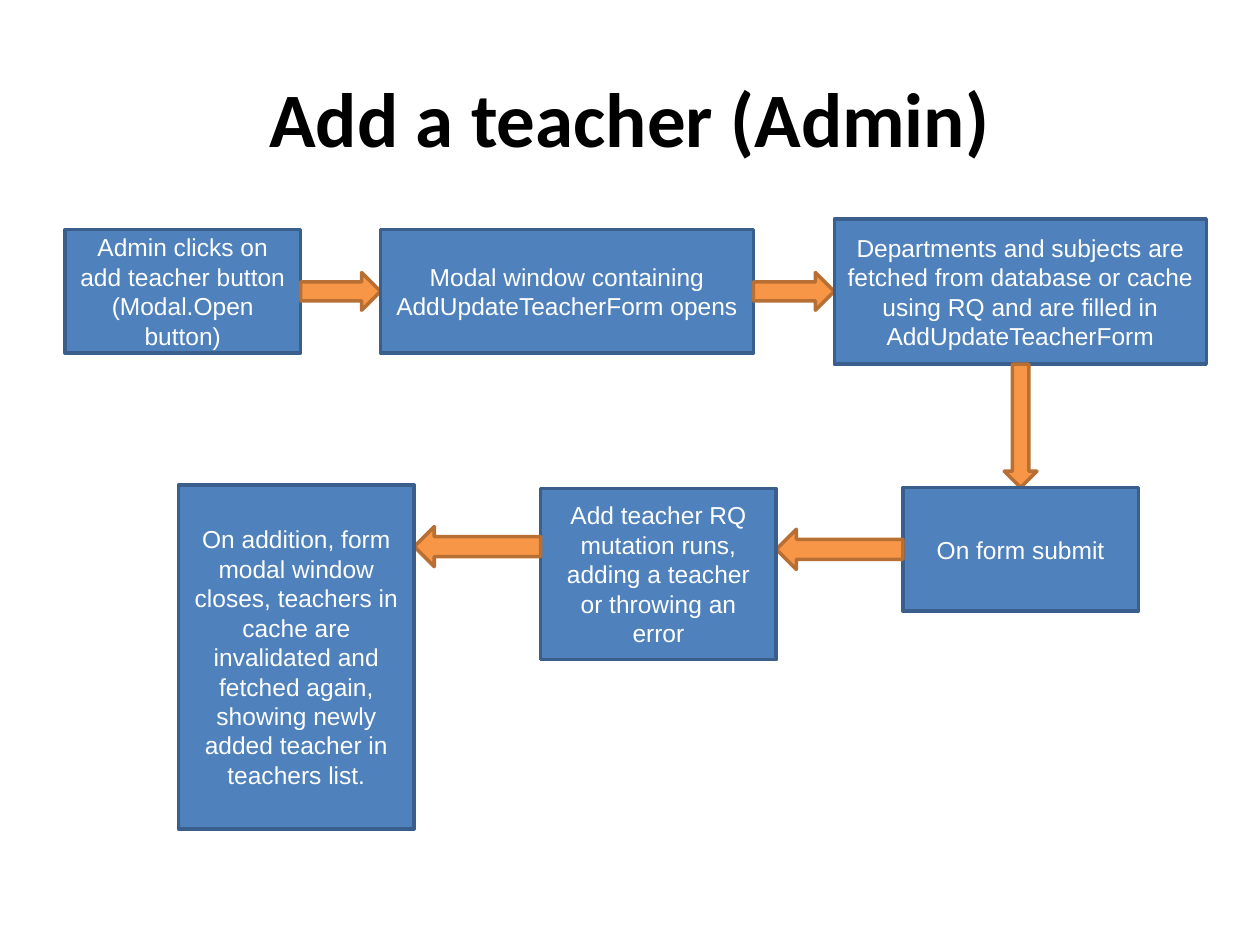
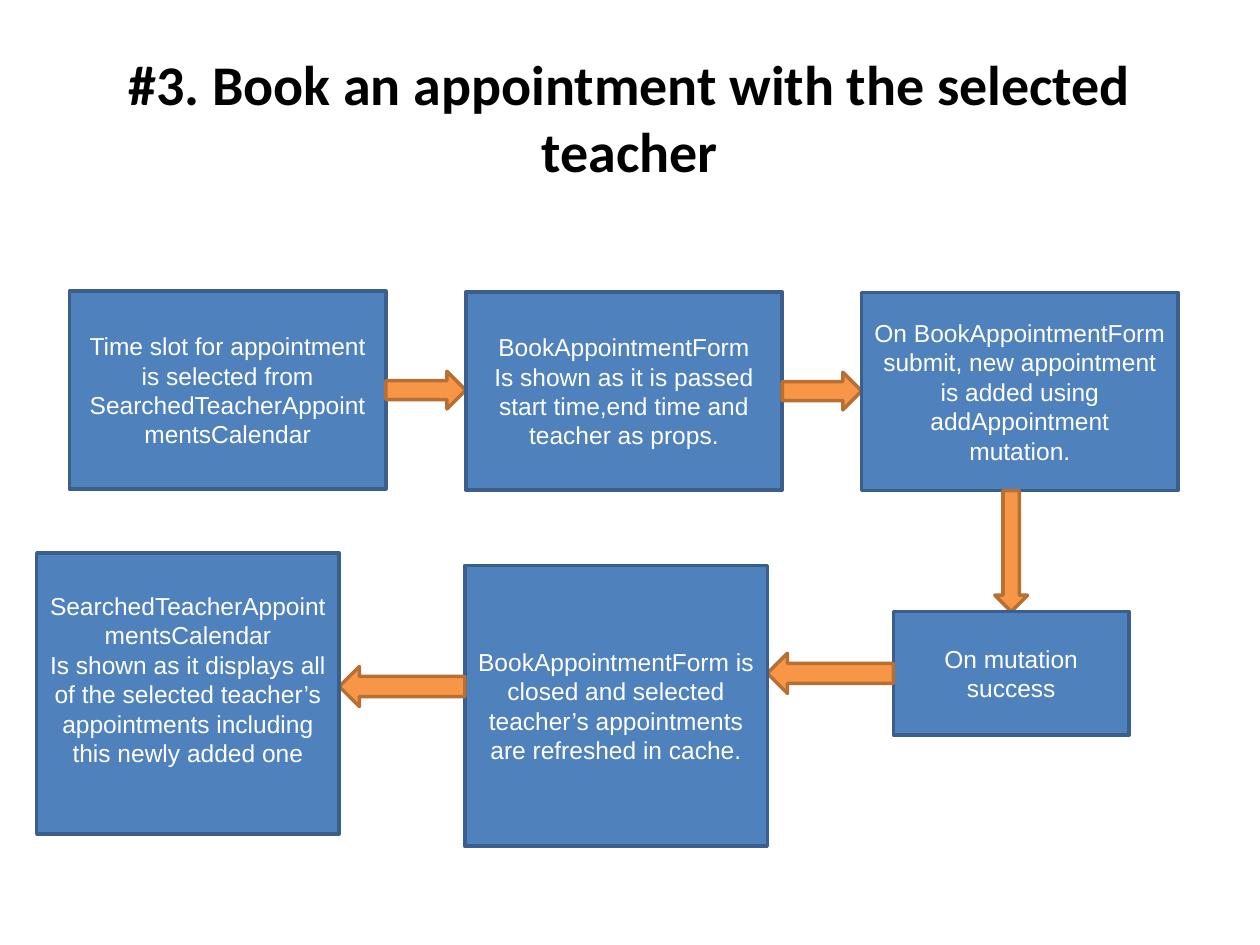
from dataclasses import dataclass
from itertools import zip_longest
from typing import Optional

from pptx import Presentation
from pptx.dml.color import RGBColor
from pptx.enum.shapes import MSO_SHAPE
from pptx.enum.text import MSO_ANCHOR, PP_ALIGN
from pptx.util import Cm, Pt

COLORS = {
    "title": "000000",
    "step_fill": "4F81BD",
    "step_line": "3A5F8C",
    "step_text": "FFFFFF",
    "arrow_fill": "F79646",
    "arrow_line": "B76F34",
}
TITLE_FONT = "Calibri"
STEP_FONT = "Arial"
STEP_SIZE = 14
BOTTOM_INSET = 0.13
RIGHT_ARROW_HEIGHT = 0.76
LEFT_ARROW_HEIGHT = 0.81
DOWN_ARROW_WIDTH = 0.66


@dataclass(frozen=True)
class Step:
    """One box of a flow, in centimetres; arrow_y moves its outgoing arrow."""
    text: str
    left: float
    top: float
    width: float
    height: float
    arrow_y: Optional[float] = None
    bottom_inset: float = BOTTOM_INSET

    @property
    def right(self) -> float:
        return self.left + self.width

    @property
    def bottom(self) -> float:
        return self.top + self.height

    @property
    def center_x(self) -> float:
        return self.left + self.width / 2

    @property
    def center_y(self) -> float:
        return self.top + self.height / 2


@dataclass(frozen=True)
class Flow:
    title: str
    title_size: int
    steps: tuple[Step, ...]


FLOWS = (
    Flow("Add a teacher (Admin)", 44, (
        Step("Admin clicks on add teacher button (Modal.Open button)",
             1.31, 4.63, 4.75, 2.49),
        Step("Modal window containing AddUpdateTeacherForm opens",
             7.67, 4.63, 7.52, 2.49),
        Step("Departments and subjects are fetched from database or cache "
             "using RQ and are filled in AddUpdateTeacherForm",
             16.82, 4.42, 7.5, 2.92),
        Step("On form submit", 18.2, 9.83, 4.75, 2.49),
        Step("Add teacher RQ mutation runs, adding a teacher or throwing an error",
             10.9, 9.85, 4.75, 3.45, arrow_y=11.02),
        Step("On addition, form modal window closes, teachers in cache are "
             "invalidated and fetched again, showing newly added teacher in "
             "teachers list.",
             3.6, 9.78, 4.75, 6.93),
    )),
    Flow("#3. Book an appointment with the selected teacher", 32, (
        Step("Time slot for appointment is selected from "
             "SearchedTeacherAppointmentsCalendar",
             1.4, 5.87, 6.38, 3.99),
        Step("BookAppointmentForm\nIs shown as it is passed start time,end time "
             "and teacher as props.",
             9.39, 5.89, 6.38, 3.99),
        Step("On BookAppointmentForm\nsubmit, new appointment is added using "
             "addAppointment\nmutation.",
             17.37, 5.9, 6.38, 3.99),
        Step("On mutation success", 18.01, 12.33, 4.75, 2.49),
        Step("BookAppointmentForm is closed and selected teacher’s "
             "appointments are refreshed in cache.",
             9.37, 11.4, 6.1, 5.66, arrow_y=13.84),
        Step("SearchedTeacherAppointmentsCalendar\nIs shown as it displays all "
             "of the selected teacher’s appointments including this newly "
             "added one",
             0.74, 11.15, 6.1, 5.66, bottom_inset=0.7),
    )),
)


def color(name: str) -> RGBColor:
    return RGBColor.from_string(COLORS[name])


def write_text(shape, text: str, font_name: str, size: int, color_name: str,
               bold: bool = False) -> None:
    text_frame = shape.text_frame
    text_frame.text = text
    text_frame.word_wrap = True
    text_frame.vertical_anchor = MSO_ANCHOR.MIDDLE
    for paragraph in text_frame.paragraphs:
        paragraph.alignment = PP_ALIGN.CENTER
        for run in paragraph.runs:
            run.font.name = font_name
            run.font.size = Pt(size)
            run.font.bold = bold
            run.font.color.rgb = color(color_name)


def add_title(slide, flow: Flow) -> None:
    title = slide.shapes.add_textbox(Cm(1.27), Cm(0.76), Cm(22.86), Cm(3.18))
    write_text(title, flow.title, TITLE_FONT, flow.title_size, "title", bold=True)


def add_outlined_shape(slide, preset: MSO_SHAPE, left: float, top: float,
                       width: float, height: float, role: str):
    shape = slide.shapes.add_shape(preset, Cm(left), Cm(top), Cm(width), Cm(height))
    shape.shadow.inherit = False
    shape.fill.solid()
    shape.fill.fore_color.rgb = color(f"{role}_fill")
    shape.line.color.rgb = color(f"{role}_line")
    shape.line.width = Pt(2)
    return shape


def add_step(slide, step: Step) -> None:
    box = add_outlined_shape(slide, MSO_SHAPE.RECTANGLE, step.left, step.top,
                             step.width, step.height, "step")
    write_text(box, step.text, STEP_FONT, STEP_SIZE, "step_text")
    box.text_frame.margin_bottom = Cm(step.bottom_inset)


def add_arrow(slide, source: Step, target: Step) -> None:
    """Fill the gap between two steps with an arrow in the flow's direction."""
    center_y = source.arrow_y or source.center_y
    if target.left >= source.right:
        preset, height = MSO_SHAPE.RIGHT_ARROW, RIGHT_ARROW_HEIGHT
        left, width = source.right, target.left - source.right
        top = center_y - height / 2
    elif target.right <= source.left:
        preset, height = MSO_SHAPE.LEFT_ARROW, LEFT_ARROW_HEIGHT
        left, width = target.right, source.left - target.right
        top = center_y - height / 2
    else:
        preset, width = MSO_SHAPE.DOWN_ARROW, DOWN_ARROW_WIDTH
        left = target.center_x - width / 2
        top, height = source.bottom, target.top - source.bottom
    add_outlined_shape(slide, preset, left, top, width, height, "arrow")


def add_flow_slide(presentation, flow: Flow) -> None:
    slide = presentation.slides.add_slide(presentation.slide_layouts[6])
    add_title(slide, flow)
    for step, next_step in zip_longest(flow.steps, flow.steps[1:]):
        add_step(slide, step)
        if next_step:
            add_arrow(slide, step, next_step)


def main() -> None:
    presentation = Presentation()
    presentation.slide_width = Cm(25.4)
    presentation.slide_height = Cm(19.05)
    for flow in FLOWS:
        add_flow_slide(presentation, flow)
    presentation.save("out.pptx")


if __name__ == "__main__":
    main()
